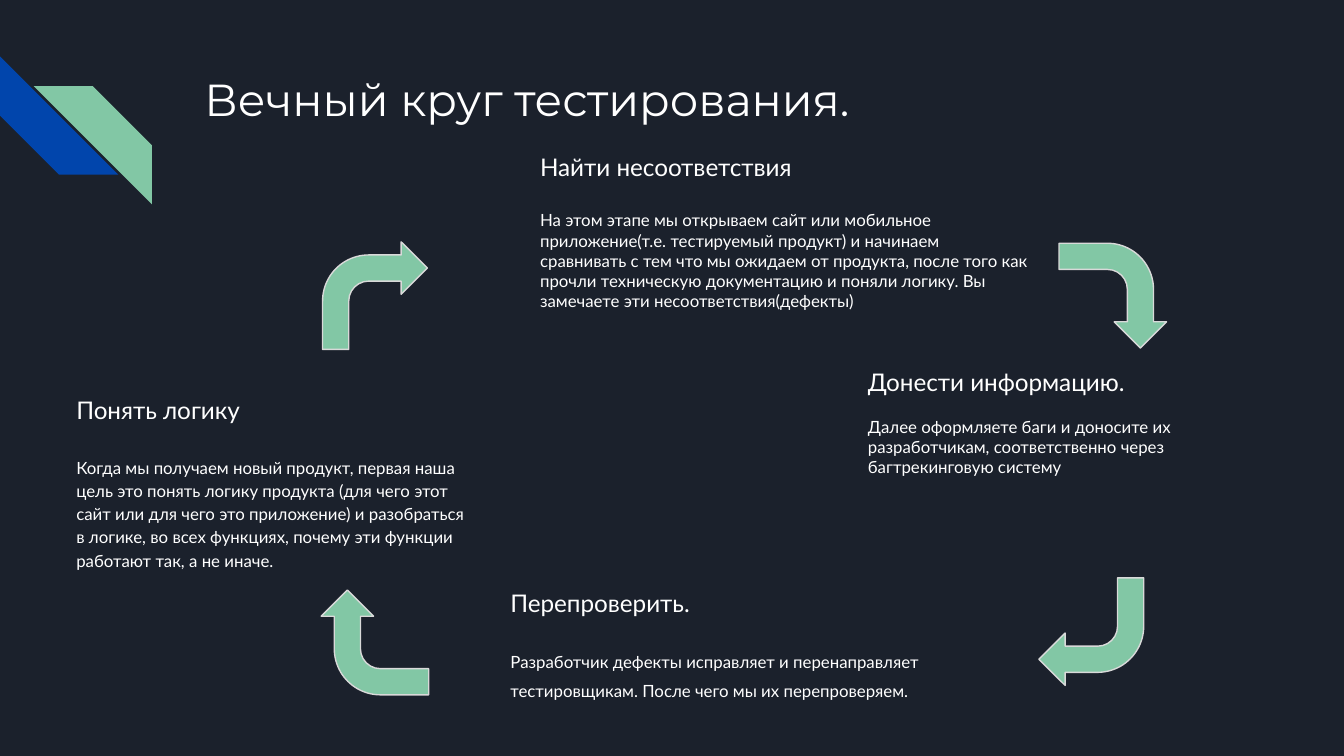
from pptx import Presentation
from pptx.dml.color import RGBColor
from pptx.enum.shapes import MSO_SHAPE
from pptx.enum.text import MSO_ANCHOR, MSO_AUTO_SIZE, PP_ALIGN
from pptx.util import Inches, Pt

STRIPE, ARROW = MSO_SHAPE.DIAGONAL_STRIPE, MSO_SHAPE.BENT_ARROW
TOP, LEFT, FIXED = MSO_ANCHOR.TOP, PP_ALIGN.LEFT, MSO_AUTO_SIZE.NONE
COLORS = {"back": "1B212C", "blue": "0145AC", "green": "82C7A5",
          "edge": "D9D9D9", "text": "FFFFFF"}

# Box, heading, body, gap in points, heading spacing, body spacing
STEPS = [
    ((0.47, 2.81, 3.17, 1.04), "Понять логику",
     "Когда мы получаем новый продукт, первая наша цель это понять логику "
     "продукта (для чего этот сайт или для чего это приложение) и разобраться "
     "в логике, во всех функциях, почему эти функции работают так, а не иначе.",
     16, 1.15, 1.15),
    ((3.92, 1.03, 3.82, 1.34), "Найти несоответствия",
     "На этом этапе мы открываем сайт или мобильное приложение(т.е. "
     "тестируемый продукт) и начинаем сравнивать с тем что мы ожидаем от "
     "продукта, после того как прочли техническую документацию и поняли "
     "логику. Вы замечаете эти несоответствия(дефекты)",
     15.6, 1.0, 1.0),
    ((6.36, 2.63, 3.17, 1.11), "Донести информацию.",
     "Далее оформляете баги и доносите их разработчикам, соответственно "
     "через багтрекинговую систему",
     10.8, 1.0, 1.0),
    ((3.7, 4.28, 3.56, 1.11), "Перепроверить.",
     "Разработчик дефекты исправляет и перенаправляет тестировщикам. "
     "После чего мы их перепроверяем.",
     13.5, 1.0, Pt(15.5)),
]
TURNS = [(2.4, 1.8, 0), (7.89, 1.8, 90), (7.73, 4.3, 180), (2.4, 4.38, 270)]


def color(name):
    """Return the named colour."""
    return RGBColor.from_string(COLORS[name])


def set_frame(frame):
    """Set wrapping, anchor and equal insets of a text frame."""
    frame.word_wrap = True
    frame.auto_size = FIXED
    frame.vertical_anchor = TOP
    frame.margin_left = frame.margin_right = Inches(0.1)
    frame.margin_top = frame.margin_bottom = Inches(0.1)


def style(para, font, size):
    """Format a paragraph and its runs."""
    para.alignment = LEFT
    for run in para.runs:
        run.font.name = font
        run.font.size = Pt(size)
        run.font.color.rgb = color("text")


def add_shape(slide, kind, box, fill, turn=0):
    """Add a plain filled preset shape without outline."""
    shape = slide.shapes.add_shape(kind, *map(Inches, box))
    shape.shadow.inherit = False
    shape.fill.solid()
    shape.fill.fore_color.rgb = color(fill)
    shape.line.fill.background()
    shape.rotation = turn
    return shape


def add_mark(slide, left, top, size=0.88):
    """Add the two corner stripes."""
    add_shape(slide, STRIPE, (left, top, size, size), "blue", 270)
    green = add_shape(slide, STRIPE, (left + 0.25, top + 0.22, size, size), "green")
    green.element.spPr.get_or_add_xfrm().set("flipH", "1")


def add_title(slide, box, text):
    """Place and format the title."""
    title = slide.shapes.title
    title.left, title.top, title.width, title.height = map(Inches, box)
    set_frame(title.text_frame)
    title.text_frame.text = text
    style(title.text_frame.paragraphs[0], "Montserrat", 24)


def add_step(slide, box, head, body, gap, lead, space):
    """Add one step: a heading over its description."""
    frame = slide.shapes.add_textbox(*map(Inches, box)).text_frame
    set_frame(frame)
    first = frame.paragraphs[0]
    first.text = head
    first.line_spacing = lead
    style(first, "Lato", 13)
    para = frame.add_paragraph()
    para.text = body
    para.space_before = Pt(gap)
    para.line_spacing = space
    style(para, "Lato", 9)


def add_turn(slide, left, top, turn):
    """Add one bent arrow of the circle."""
    arrow = add_shape(slide, ARROW, (left, top, 0.78, 0.8), "green", turn)
    arrow.line.color.rgb = color("edge")
    arrow.line.width = Pt(0.75)
    arrow.adjustments[3] = 0.44


def main():
    """Build and save the slide."""
    deck = Presentation()
    deck.slide_width = Inches(10)
    deck.slide_height = deck.slide_width * 9 // 16
    slide = deck.slides.add_slide(deck.slide_layouts.get_by_name("Title Only"))
    slide.background.fill.solid()
    slide.background.fill.fore_color.rgb = color("back")
    add_mark(slide, 0, 0.42)
    add_title(slide, (1.42, 0.43, 7.7, 1), "Вечный круг тестирования.")
    for step in STEPS:
        add_step(slide, *step)
    for turn in TURNS:
        add_turn(slide, *turn)
    deck.save("out.pptx")


if __name__ == "__main__":
    main()
